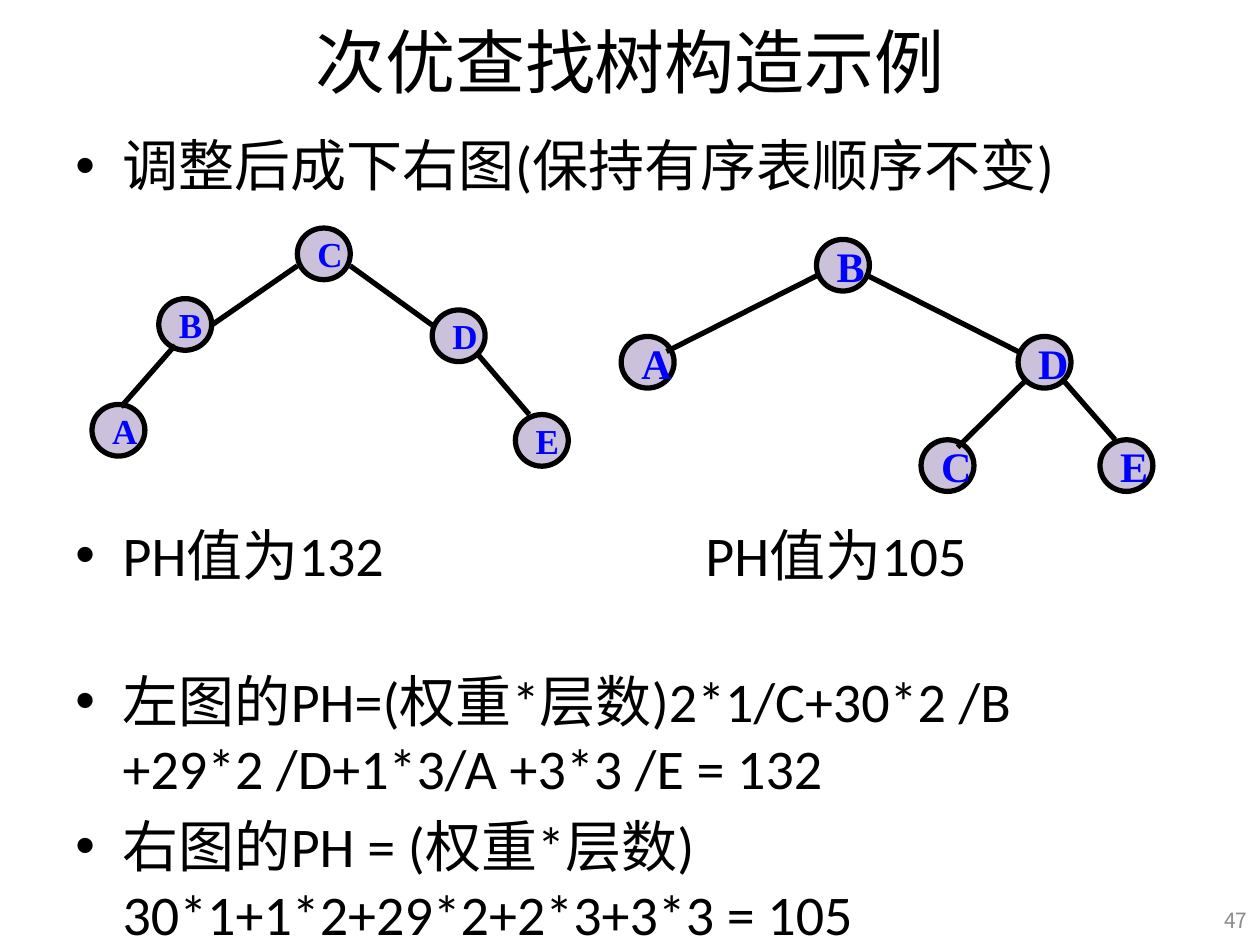
from lxml.etree import SubElement
from pptx import Presentation
from pptx.dml.color import RGBColor
from pptx.enum.shapes import MSO_CONNECTOR, MSO_SHAPE
from pptx.enum.text import MSO_ANCHOR, PP_ALIGN
from pptx.oxml.ns import qn
from pptx.util import Inches, Pt

COLORS = {"text": "000000", "label": "0000FF", "node": "CCC1DA", "number": "8C8C8C"}

presentation = Presentation()
presentation.slide_width = Inches(10)
presentation.slide_height = Inches(7.5)
column = presentation.slide_width / 100
row = presentation.slide_height / 75
slide = presentation.slides.add_slide(presentation.slide_layouts[5])


def box(left, top, width, height):
    return [int(left * column), int(top * row), int(width * column), int(height * row)]


def set_font(paragraph, name, size, color, bold=False):
    paragraph.font.name = name
    paragraph.font.size = Pt(size)
    paragraph.font.bold = bold
    paragraph.font.color.rgb = RGBColor.from_string(COLORS[color])


title = slide.shapes.title
title.left, title.top, title.width, title.height = box(5, -0.3, 90, 10.2)
title.text_frame.text = "次优查找树构造示例"
title.text_frame.vertical_anchor = MSO_ANCHOR.MIDDLE
title.text_frame.paragraphs[0].alignment = PP_ALIGN.CENTER
set_font(title.text_frame.paragraphs[0], "Calibri", 40, "text")

bullets = [
    ("调整后成下右图(保持有序表顺序不变)", 0),
    ("PH值为132\tPH值为105", 184),
    ("左图的PH=(权重*层数)2*1/C+30*2 /B +29*2 /D+1*3/A +3*3 /E = 132", 45),
    ("右图的PH = (权重*层数) 30*1+1*2+29*2+2*3+3*3 = 105", 6.4),
]
body = slide.shapes.add_textbox(*box(5, 9.9, 90, 63.8)).text_frame
body.word_wrap = True
for index, (text, space) in enumerate(bullets):
    paragraph = body.paragraphs[0] if index == 0 else body.add_paragraph()
    paragraph.text = text
    paragraph.space_before = Pt(space)
    properties = paragraph._p.get_or_add_pPr()
    properties.set("marL", str(int(3.75 * column)))
    properties.set("indent", str(int(-3.75 * column)))
    SubElement(properties, qn("a:buFont"), typeface="Arial")
    SubElement(properties, qn("a:buChar"), char="•")
    if "\t" in text:
        tabs = SubElement(properties, qn("a:tabLst"))
        SubElement(tabs, qn("a:tab"), pos=str(int(50 * column)), algn="l")
    set_font(paragraph, "Calibri", 32, "text")

number = slide.shapes.add_textbox(*box(95.7, 71, 4.3, 4)).text_frame
number.text = "47"
number.word_wrap = True
number.vertical_anchor = MSO_ANCHOR.MIDDLE
number.paragraphs[0].alignment = PP_ALIGN.RIGHT
set_font(number.paragraphs[0], "Noto Sans CJK SC", 12, "number")

trees = [
    (
        20,
        {"A": (7.3, 32.1), "B": (12.6, 23.7), "C": (23.6, 18.1), "D": (34.3, 24.6), "E": (40.9, 32.9)},
        [(13.9, 27.4, 9.6, 32.3), (37.9, 28.1, 42, 32.9), (23.6, 21.1, 16.8, 25.8), (27.8, 21.1, 34.3, 25.8)],
    ),
    (
        24,
        {"A": (49.3, 26.7), "B": (64.8, 19), "C": (73.1, 34.9), "D": (80.8, 26.7), "E": (87.3, 34.9)},
        [(84.4, 30.2, 88.5, 34.9), (81.4, 30.2, 76, 35.5), (64.8, 21.9, 52.9, 27.9), (68.9, 21.9, 80.8, 27.9)],
    ),
]
for size, nodes, edges in trees:
    tree = slide.shapes.add_group_shape()
    for label, (left, top) in nodes.items():
        node = tree.shapes.add_shape(MSO_SHAPE.OVAL, *box(left, top, 4.2, 4.1))
        node.shadow.inherit = False
        node.fill.solid()
        node.fill.fore_color.rgb = RGBColor.from_string(COLORS["node"])
        node.line.color.rgb = RGBColor.from_string(COLORS["text"])
        node.line.width = Pt(3)
        node.text_frame.text = label
        node.text_frame.word_wrap = False
        node.text_frame.vertical_anchor = MSO_ANCHOR.MIDDLE
        node.text_frame.paragraphs[0].alignment = PP_ALIGN.LEFT
        set_font(node.text_frame.paragraphs[0], "Times New Roman", size, "label", bold=True)
    for ends in edges:
        edge = tree.shapes.add_connector(MSO_CONNECTOR.STRAIGHT, *box(*ends))
        edge.line.color.rgb = RGBColor.from_string(COLORS["text"])
        edge.line.width = Pt(3)
        SubElement(edge._element.spPr, qn("a:effectLst"))

presentation.save("out.pptx")
